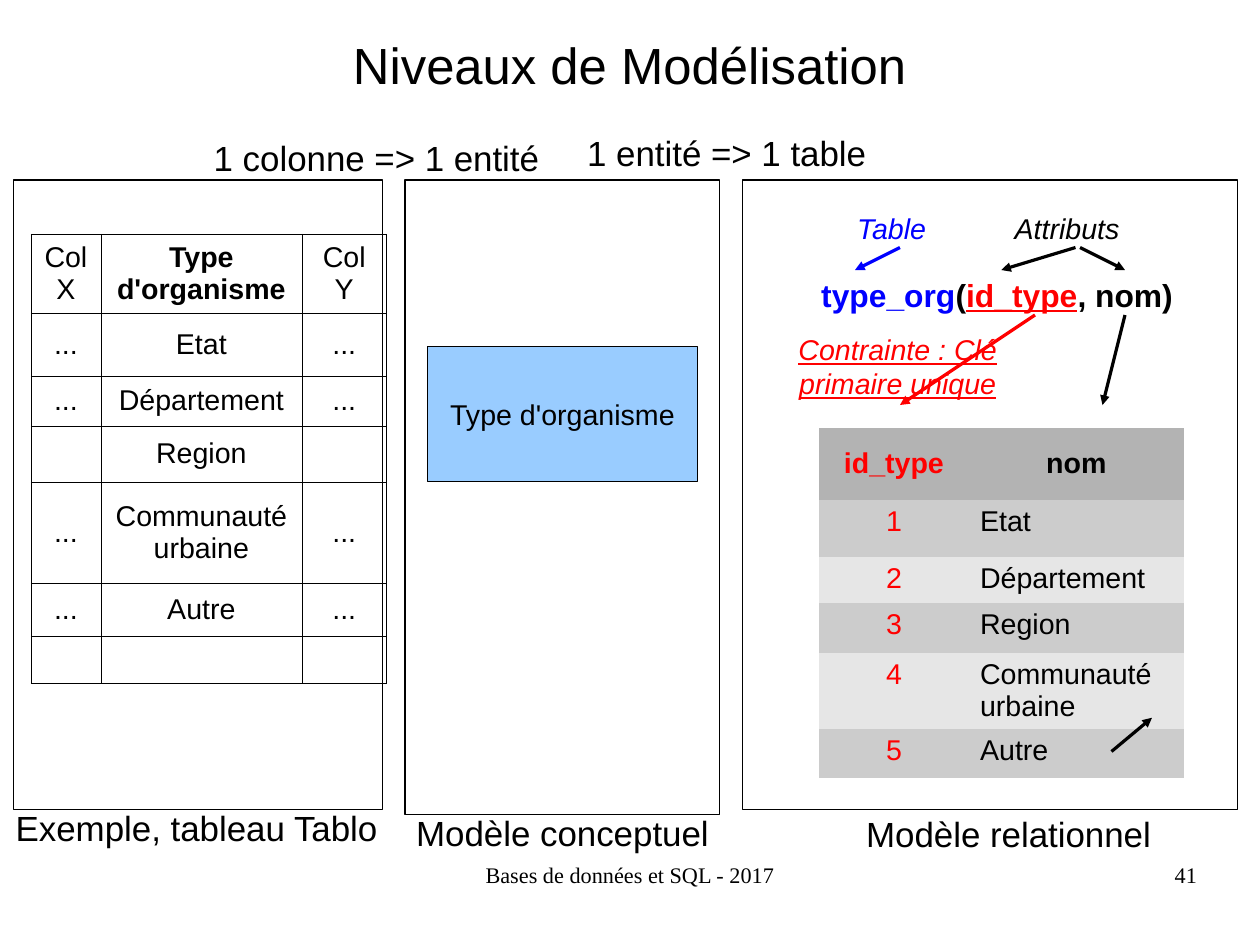
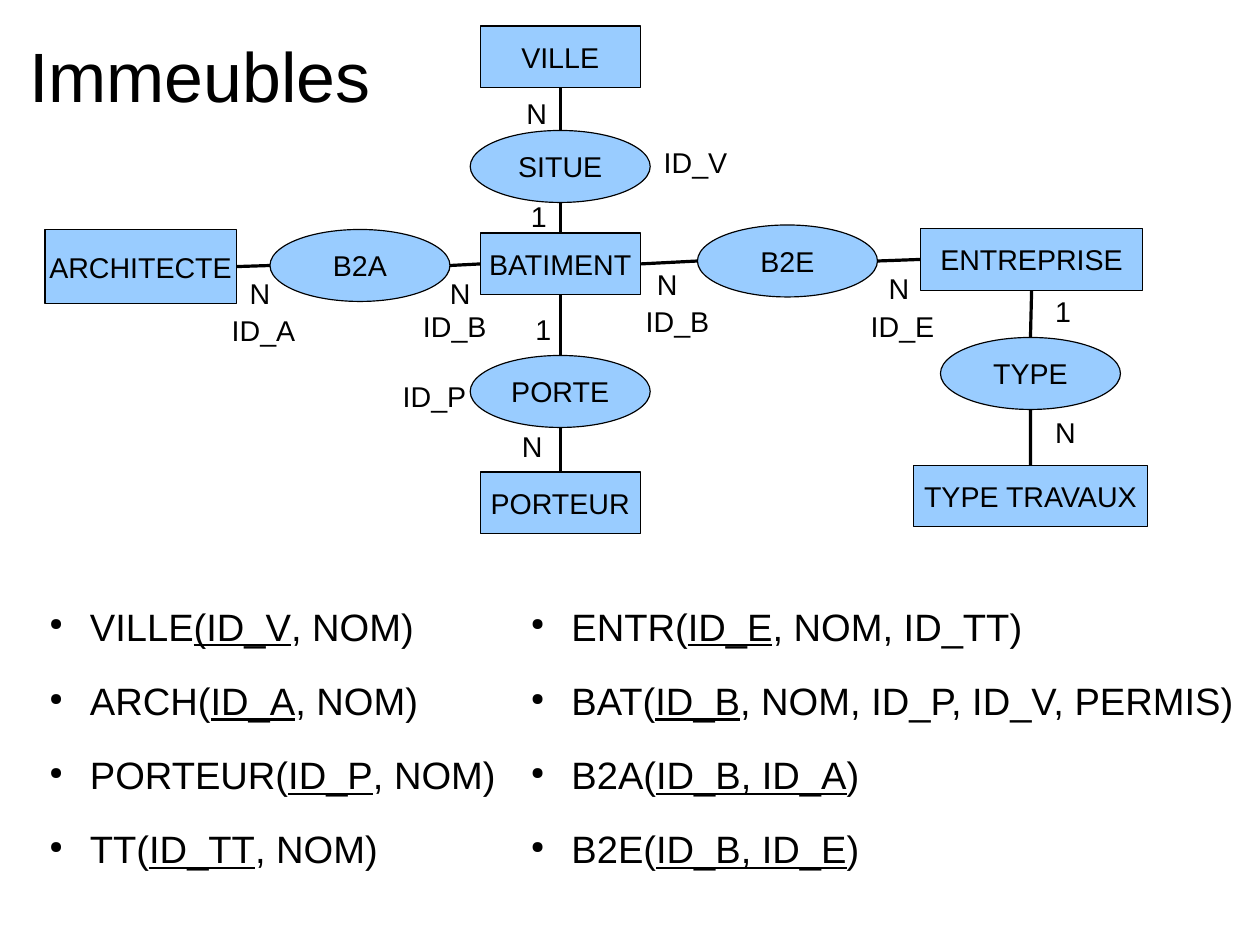
from dataclasses import dataclass, field
from typing import Any, Optional

from pptx import Presentation
from pptx.dml.color import RGBColor
from pptx.enum.shapes import MSO_CONNECTOR as Connector, MSO_SHAPE as Preset
from pptx.enum.text import MSO_ANCHOR as Anchor, MSO_AUTO_SIZE as AutoSize, PP_ALIGN as Align
from pptx.oxml.ns import qn
from pptx.oxml.xmlchemy import OxmlElement
from pptx.util import Cm, Pt

BLACK, RED, BLUE, SKY = "000000", "FF0000", "0000FF", "99CCFF"
HEADER_GREY, ROW_GREYS = "B3B3B3", ("CCCCCC", "E6E6E6")
BASE_FONT = {"name": "Arial", "size": Pt(18), "bold": False, "italic": False, "underline": False}
NO_MARGIN = dict.fromkeys(("margin_left", "margin_top", "margin_right", "margin_bottom"), 0)
MARGIN = {"margin_left": Cm(0.25), "margin_top": Cm(0.13),
          "margin_right": Cm(0.25), "margin_bottom": Cm(0.13)}
PLAIN_TABLE_STYLE = "{2D5ABB26-0587-4C30-8999-92F81FD0307C}"
LABEL_SIZE = {"size": Pt(22)}
FOOTER_FONT = {"name": "Times New Roman", "size": Pt(14)}
BODY_FONT = {"size": Pt(24)}


@dataclass(frozen=True)
class Box:
    left: float
    top: float
    width: float
    height: float

    def lengths(self) -> tuple:
        return Cm(self.left), Cm(self.top), Cm(self.width), Cm(self.height)

    def side(self, index: int) -> tuple[float, float]:
        middle_x, middle_y = self.left + self.width / 2, self.top + self.height / 2
        return ((middle_x, self.top), (self.left, middle_y),
                (middle_x, self.top + self.height), (self.left + self.width, middle_y))[index]


@dataclass(frozen=True)
class Run:
    text: str
    color: str = BLACK
    font: dict[str, Any] = field(default_factory=dict)


@dataclass(frozen=True)
class Label:
    box: Box
    runs: tuple[Run, ...]
    align: Align = Align.LEFT
    margin: dict[str, Any] = field(default_factory=lambda: MARGIN)


@dataclass(frozen=True)
class Arrow:
    start: tuple[float, float]
    end: tuple[float, float]
    color: str = BLACK


@dataclass(frozen=True)
class Node:
    name: str
    box: Box
    preset: Preset


@dataclass(frozen=True)
class Link:
    entity: str
    side: int
    relation: str


def rgb(value: str) -> RGBColor:
    return RGBColor.from_string(value)


def set_attributes(target: Any, values: dict[str, Any]) -> None:
    for name, value in values.items():
        setattr(target, name, value)


def write_runs(paragraph: Any, runs: tuple[Run, ...], align: Align) -> None:
    paragraph.alignment = align
    for item in runs:
        run = paragraph.add_run()
        run.text = item.text
        set_attributes(run.font, {**BASE_FONT, **item.font})
        run.font.color.rgb = rgb(item.color)


def add_title(presentation: Any, text: str, box: Box, size: int) -> Any:
    slide = presentation.slides.add_slide(presentation.slide_layouts[5])
    title = slide.shapes.title
    set_attributes(title, dict(zip(("left", "top", "width", "height"), box.lengths())))
    frame = title.text_frame
    set_attributes(frame, {**NO_MARGIN, "vertical_anchor": Anchor.MIDDLE,
                           "word_wrap": True, "auto_size": AutoSize.NONE})
    write_runs(frame.paragraphs[0], (Run(text, font={"size": Pt(size)}),), Align.CENTER)
    return slide


def add_label(slide: Any, label: Label) -> None:
    frame = slide.shapes.add_textbox(*label.box.lengths()).text_frame
    set_attributes(frame, {**label.margin, "word_wrap": True})
    write_runs(frame.paragraphs[0], label.runs, label.align)


def add_box(slide: Any, box: Box, preset: Preset = Preset.RECTANGLE, text: str = "") -> Any:
    shape = slide.shapes.add_shape(preset, *box.lengths())
    shape.shadow.inherit = False
    shape.line.color.rgb = rgb(BLACK)
    shape.line.width = 0
    if not text:
        shape.fill.background()
        return shape
    shape.fill.solid()
    shape.fill.fore_color.rgb = rgb(SKY)
    set_attributes(shape.text_frame, {**MARGIN, "vertical_anchor": Anchor.MIDDLE, "word_wrap": False})
    write_runs(shape.text_frame.paragraphs[0], (Run(text),), Align.CENTER)
    return shape


def add_line(slide: Any, start: tuple, end: tuple, color: str = BLACK, head: bool = False) -> Any:
    line = slide.shapes.add_connector(Connector.STRAIGHT, *map(Cm, (*start, *end)))
    line.line.color.rgb = rgb(color)
    line.line.width = 0
    properties = line._element.spPr
    if head:
        tail = OxmlElement("a:tailEnd")
        tail.set("type", "triangle")
        properties.find(qn("a:ln")).append(tail)
    properties.append(OxmlElement("a:effectLst"))
    return line


def add_grid(slide: Any, left: float, top: float, widths: tuple, heights: tuple) -> Any:
    box = Box(left, top, sum(widths), sum(heights))
    table = slide.shapes.add_table(len(heights), len(widths), *box.lengths()).table
    set_attributes(table, {"first_row": False, "horz_banding": False})
    table._tbl.tblPr.find(qn("a:tableStyleId")).text = PLAIN_TABLE_STYLE
    for items, name, sizes in ((table.columns, "width", widths), (table.rows, "height", heights)):
        for item, size in zip(items, sizes):
            setattr(item, name, Cm(size))
    return table


def fill_cell(cell: Any, run: Run, align: Align, anchor: Anchor, fill: Optional[str] = None) -> None:
    set_attributes(cell, {**MARGIN, "vertical_anchor": anchor})
    if fill:
        cell.fill.solid()
        cell.fill.fore_color.rgb = rgb(fill)
    else:
        cell.fill.background()
    if run.text:
        write_runs(cell.text_frame.paragraphs[0], (run,), align)


def add_borders(cell: Any) -> None:
    properties = cell._tc.get_or_add_tcPr()
    for index, tag in enumerate(("a:lnL", "a:lnR", "a:lnT", "a:lnB")):
        line, fill, color = map(OxmlElement, (tag, "a:solidFill", "a:srgbClr"))
        line.set("w", "762")
        color.set("val", BLACK)
        fill.append(color)
        line.append(fill)
        properties.insert(index, line)


def add_bullet(paragraph: Any) -> None:
    properties = paragraph._p.get_or_add_pPr()
    properties.set("marL", str(Cm(1.2)))
    properties.set("indent", str(Cm(-0.9)))
    size, bullet = OxmlElement("a:buSzPct"), OxmlElement("a:buChar")
    size.set("val", "45000")
    bullet.set("char", "●")
    properties.extend((size, bullet))


def add_relations(slide: Any, box: Box, relations: tuple[tuple[str, str, str], ...]) -> None:
    frame = slide.shapes.add_textbox(*box.lengths()).text_frame
    set_attributes(frame, {**NO_MARGIN, "word_wrap": True})
    for index, (opening, key, closing) in enumerate(relations):
        paragraph = frame.add_paragraph() if index else frame.paragraphs[0]
        add_bullet(paragraph)
        paragraph.space_after = Pt(18)
        runs = (Run(opening, font=BODY_FONT), Run(key, font={**BODY_FONT, "underline": True}),
                Run(closing, font=BODY_FONT))
        write_runs(paragraph, runs, Align.LEFT)


def add_sheet_table(slide: Any) -> None:
    names = ("Type d'organisme", "Etat", "Département", "Region", "Communauté urbaine", "Autre", "")
    table = add_grid(slide, 0.69, 5.2, (1.55, 4.47, 1.88), (1.75, 1.4, 1.12, 1.24, 2.24, 1.19, 0.97))
    for row, name in enumerate(names):
        dots = "" if name in ("Region", "") else "..."
        texts = ("Col X", name, "Col Y") if row == 0 else (dots, name, dots)
        for column, text in enumerate(texts):
            cell = table.cell(row, column)
            run = Run(text, font={"bold": row == 0 and column == 1})
            fill_cell(cell, run, Align.CENTER, Anchor.MIDDLE)
            add_borders(cell)


def add_relational_table(slide: Any) -> None:
    names = ("nom", "Etat", "Département", "Region", "Communauté urbaine", "Autre")
    table = add_grid(slide, 18.2, 9.5, (3.33, 4.78), (1.6, 1.27, 1.02, 1.12, 1.68, 1.09))
    for row, name in enumerate(names):
        header = row == 0
        fill = HEADER_GREY if header else ROW_GREYS[(row - 1) % 2]
        anchor = Anchor.MIDDLE if header else Anchor.TOP
        font = {"bold": header}
        key = Run("id_type" if header else str(row), RED, font)
        fill_cell(table.cell(row, 0), key, Align.CENTER, anchor, fill)
        name_align = Align.CENTER if header else Align.LEFT
        fill_cell(table.cell(row, 1), Run(name, font=font), name_align, anchor, fill)


def build_levels(presentation: Any) -> None:
    slide = add_title(presentation, "Niveaux de Modélisation", Box(1.4, 0.36, 25.2, 2.13), 32)
    for panel in (Box(16.5, 4, 11, 14), Box(9, 4, 7, 14.1), Box(0.3, 4, 8.2, 14)):
        add_box(slide, panel)
    add_box(slide, Box(9.5, 7.7, 6, 3), text="Type d'organisme")
    add_sheet_table(slide)
    add_relational_table(slide)
    arrows = (
        Arrow((24.7, 16.7), (25.6, 15.95)),
        Arrow((23, 7), (20, 9), RED),
        Arrow((23.9, 5.5), (22.25, 6)),
        Arrow((24, 5.5), (25, 6)),
        Arrow((20, 5.5), (19, 6), BLUE),
        Arrow((25, 7), (24.5, 9)),
    )
    for arrow in arrows:
        add_line(slide, arrow.start, arrow.end, arrow.color, head=True)
    strong = {"size": Pt(20), "bold": True}
    italic = {"italic": True}
    signature = (Run("type_org", BLUE, strong), Run("(", font=strong),
                 Run("id_type", RED, {**strong, "underline": True}), Run(", nom)", font=strong))
    constraint = Run("Contrainte : Clé primaire unique", RED, {**italic, "underline": True})
    labels = (
        Label(Box(0.1, 17.8, 9, 1.13), (Run("Exemple, tableau Tablo", font=LABEL_SIZE),)),
        Label(Box(9, 17.9, 8, 1.13), (Run("Modèle conceptuel", font=LABEL_SIZE),)),
        Label(Box(19, 17.93, 7.2, 1.13), (Run("Modèle relationnel", font=LABEL_SIZE),)),
        Label(Box(4.5, 2.9, 8, 1.13), (Run("1 colonne => 1 entité", font=LABEL_SIZE),)),
        Label(Box(12.8, 2.8, 7.6, 1.13), (Run("1 entité => 1 table", font=LABEL_SIZE),)),
        Label(Box(18, 6, 8.6, 1.03), signature),
        Label(Box(18.8, 4.55, 2.5, 0.97), (Run("Table", BLUE, italic),)),
        Label(Box(22.3, 4.55, 3.2, 0.97), (Run("Attributs", font=italic),)),
        Label(Box(16.9, 7.25, 6.1, 1.68), (constraint,), Align.CENTER),
        Label(Box(9.57, 19.13, 8.86, 1.45), (Run("Bases de données et SQL - 2017", font=FOOTER_FONT),),
              Align.CENTER, NO_MARGIN),
        Label(Box(20.07, 19.13, 6.53, 1.45), (Run("41", font=FOOTER_FONT),), Align.RIGHT, NO_MARGIN),
    )
    for label in labels:
        add_label(slide, label)


def build_buildings(presentation: Any) -> None:
    slide = add_title(presentation, "Immeubles", Box(0.1, 0, 8.7, 3.3), 44)
    add_relations(slide, Box(0.8, 13.4, 11.6, 7.06), (
        ("VILLE", "(ID_V", ", NOM)"), ("ARCH(", "ID_A", ", NOM)"),
        ("PORTEUR(", "ID_P", ", NOM)"), ("TT(", "ID_TT", ", NOM)")))
    add_relations(slide, Box(11.5, 13.4, 16.3, 7.06), (
        ("ENTR(", "ID_E", ", NOM, ID_TT)"), ("BAT(", "ID_B", ", NOM, ID_P, ID_V, PERMIS)"),
        ("B2A(", "ID_B, ID_A", ")"), ("B2E(", "ID_B, ID_E", ")")))
    entities = (
        ("ARCHITECTE", 1, 5.1, 4.25, 1.65), ("BATIMENT", 10.67, 5.18, 3.56, 1.37),
        ("ENTREPRISE", 20.45, 5.08, 4.95, 1.37), ("TYPE TRAVAUX", 20.3, 10.34, 5.2, 1.37),
        ("VILLE", 10.67, 0.58, 3.56, 1.37), ("PORTEUR", 10.67, 10.49, 3.56, 1.37),
    )
    relations = (("PORTE", 10.45, 7.9), ("TYPE", 20.9, 7.5), ("B2E", 15.5, 5),
                 ("SITUE", 10.45, 2.9), ("B2A", 6, 5.1))
    nodes = [Node(name, Box(*place), Preset.RECTANGLE) for name, *place in entities]
    nodes += [Node(name, Box(left, top, 4, 1.6), Preset.OVAL) for name, left, top in relations]
    shapes = {node.name: add_box(slide, node.box, node.preset, node.name) for node in nodes}
    boxes = {node.name: node.box for node in nodes}
    links = (
        Link("VILLE", 2, "SITUE"), Link("BATIMENT", 0, "SITUE"),
        Link("BATIMENT", 1, "B2A"), Link("ARCHITECTE", 3, "B2A"),
        Link("BATIMENT", 3, "B2E"), Link("ENTREPRISE", 1, "B2E"),
        Link("BATIMENT", 2, "PORTE"), Link("PORTEUR", 0, "PORTE"),
        Link("ENTREPRISE", 2, "TYPE"), Link("TYPE TRAVAUX", 0, "TYPE"),
    )
    for link in links:
        opposite = (link.side + 2) % 4
        line = add_line(slide, boxes[link.entity].side(link.side), boxes[link.relation].side(opposite))
        line.begin_connect(shapes[link.entity], link.side)
    marks = (
        ("N", 23.2, 9.1), ("1", 23.2, 6.4), ("N", 5.3, 6), ("ID_A", 4.9, 6.83),
        ("ID_P", 8.7, 8.3), ("N", 19.5, 5.9), ("ID_E", 19.1, 6.73), ("N", 11.45, 2),
        ("N", 11.35, 9.4), ("1", 11.65, 6.8), ("1", 11.55, 4.3), ("ID_V", 14.5, 3.1),
        ("N", 14.35, 5.8), ("ID_B", 14.1, 6.63), ("N", 9.75, 6), ("ID_B", 9.15, 6.73),
    )
    for text, left, top in marks:
        width = 2.2 if len(text) > 1 else 1.1
        add_label(slide, Label(Box(left, top, width, 0.97), (Run(text),)))


def main() -> None:
    presentation = Presentation()
    set_attributes(presentation, {"slide_width": Cm(28), "slide_height": Cm(21)})
    build_levels(presentation)
    build_buildings(presentation)
    presentation.save("out.pptx")


if __name__ == "__main__":
    main()
